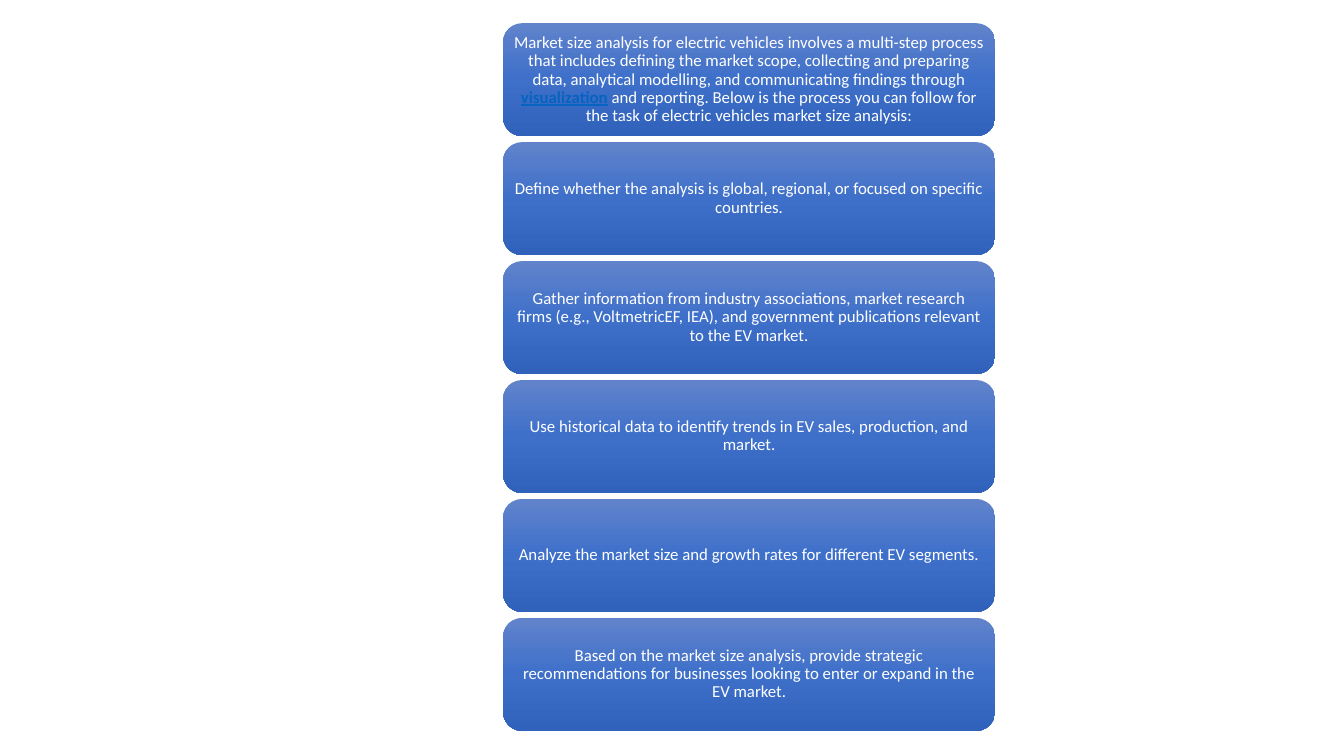
from dataclasses import dataclass

from lxml import etree
from pptx import Presentation
from pptx import util as u
from pptx.dml.color import RGBColor
from pptx.enum import shapes, text
from pptx.oxml.ns import qn
from pptx.shapes.autoshape import Shape
from pptx.slide import Slide
from pptx.text.text import _Paragraph as Paragraph

WHITE = RGBColor(0xFF, 0xFF, 0xFF)
LINK_BLUE = RGBColor(0x05, 0x63, 0xC1)
GRADIENT = (
    (0, RGBColor(0x61, 0x83, 0xCB)),
    (50, RGBColor(0x3E, 0x70, 0xCA)),
    (100, RGBColor(0x30, 0x62, 0xBB)),
)

STEP_LEFT, FIRST_TOP = 4.99, 0.23
STEP_WIDTH, STEP_HEIGHT, STEP_PITCH = 4.88, 1.12, 1.18


@dataclass(frozen=True)
class Step:
    lead: str
    keyword: str = ""
    rest: str = ""


STEPS = (
    Step(
        "Market size analysis for electric vehicles involves a multi-step process "
        "that includes defining the market scope, collecting and preparing data, "
        "analytical modelling, and communicating findings through ",
        "visualization",
        " and reporting. Below is the process you can follow for the task of "
        "electric vehicles market size analysis:",
    ),
    Step("Define whether the analysis is global, regional, or focused on specific countries."),
    Step(
        "Gather information from industry associations, market research firms "
        "(e.g., VoltmetricEF, IEA), and government publications relevant to the EV market."
    ),
    Step("Use historical data to identify trends in EV sales, production, and market."),
    Step("Analyze the market size and growth rates for different EV segments."),
    Step(
        "Based on the market size analysis, provide strategic recommendations for "
        "businesses looking to enter or expand in the EV market."
    ),
)


def fill_gradient(shape: Shape) -> None:
    shape.fill.gradient()
    shape.fill.gradient_angle = 270
    stops = shape._element.spPr.find(".//" + qn("a:gsLst"))
    stops.clear()
    for percent, color in GRADIENT:
        stop = etree.SubElement(stops, qn("a:gs"), pos=str(percent * 1000))
        etree.SubElement(stop, qn("a:srgbClr"), val=str(color))


def add_text(
    paragraph: Paragraph, content: str, *, color: RGBColor = WHITE, emphasis: bool = False
) -> None:
    run = paragraph.add_run()
    run.text = content
    run.font.name = "Calibri"
    run.font.size = u.Pt(12)
    run.font.color.rgb = color
    run.font.bold = emphasis
    run.font.underline = emphasis


def add_step(slide: Slide, step: Step, top: float) -> None:
    shape = slide.shapes.add_shape(
        shapes.MSO_SHAPE.ROUNDED_RECTANGLE,
        u.Inches(STEP_LEFT), u.Inches(top), u.Inches(STEP_WIDTH), u.Inches(STEP_HEIGHT),
    )
    shape.shadow.inherit = False
    shape.line.fill.background()
    fill_gradient(shape)

    frame = shape.text_frame
    frame.word_wrap = True
    frame.vertical_anchor = text.MSO_ANCHOR.MIDDLE
    frame.margin_left = frame.margin_right = u.Inches(0.05)
    frame.margin_top = frame.margin_bottom = u.Inches(0.03)
    paragraph = frame.paragraphs[0]
    paragraph.alignment = text.PP_ALIGN.CENTER
    paragraph.line_spacing = 0.9
    add_text(paragraph, step.lead)
    if step.keyword:
        add_text(paragraph, step.keyword, color=LINK_BLUE, emphasis=True)
        add_text(paragraph, step.rest)


def main() -> None:
    presentation = Presentation()
    presentation.slide_width = u.Inches(13.33)
    presentation.slide_height = u.Inches(7.5)
    slide = presentation.slides.add_slide(presentation.slide_layouts[6])
    for index, step in enumerate(STEPS):
        add_step(slide, step, FIRST_TOP + index * STEP_PITCH)
    presentation.save("out.pptx")


if __name__ == "__main__":
    main()
